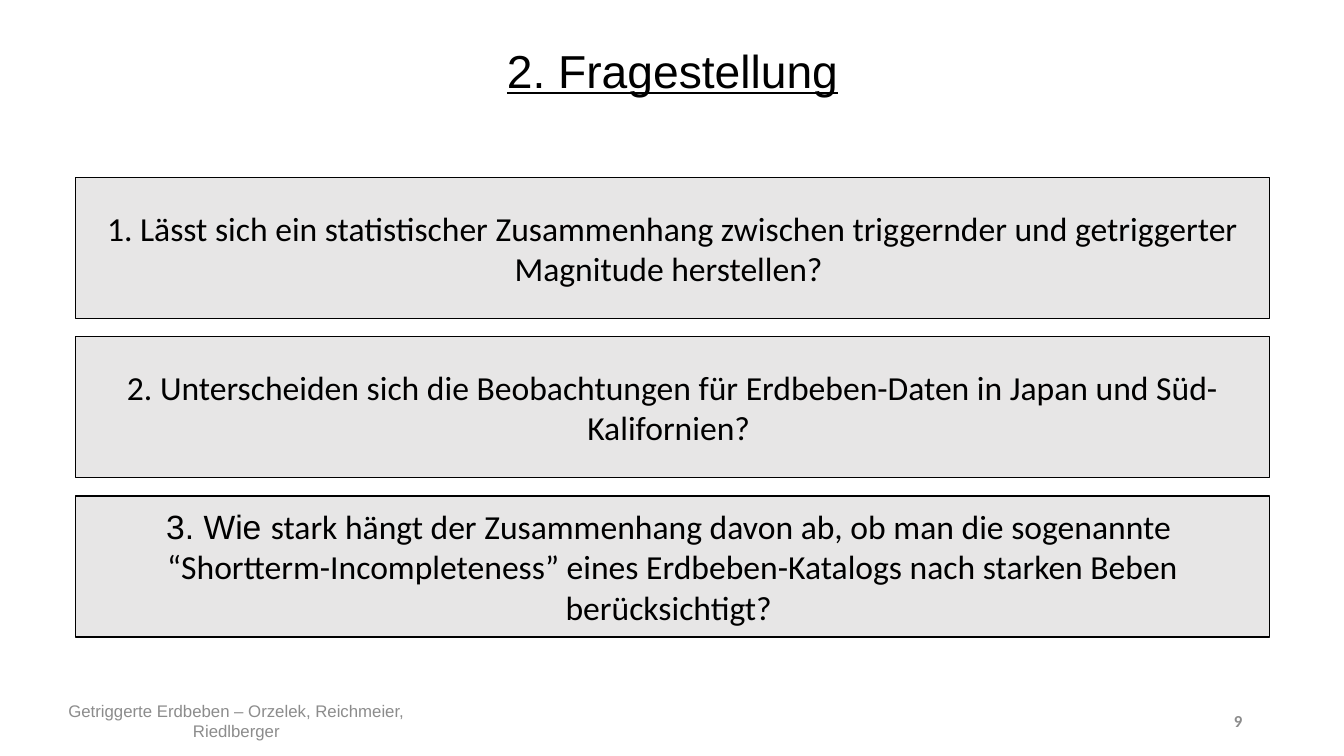
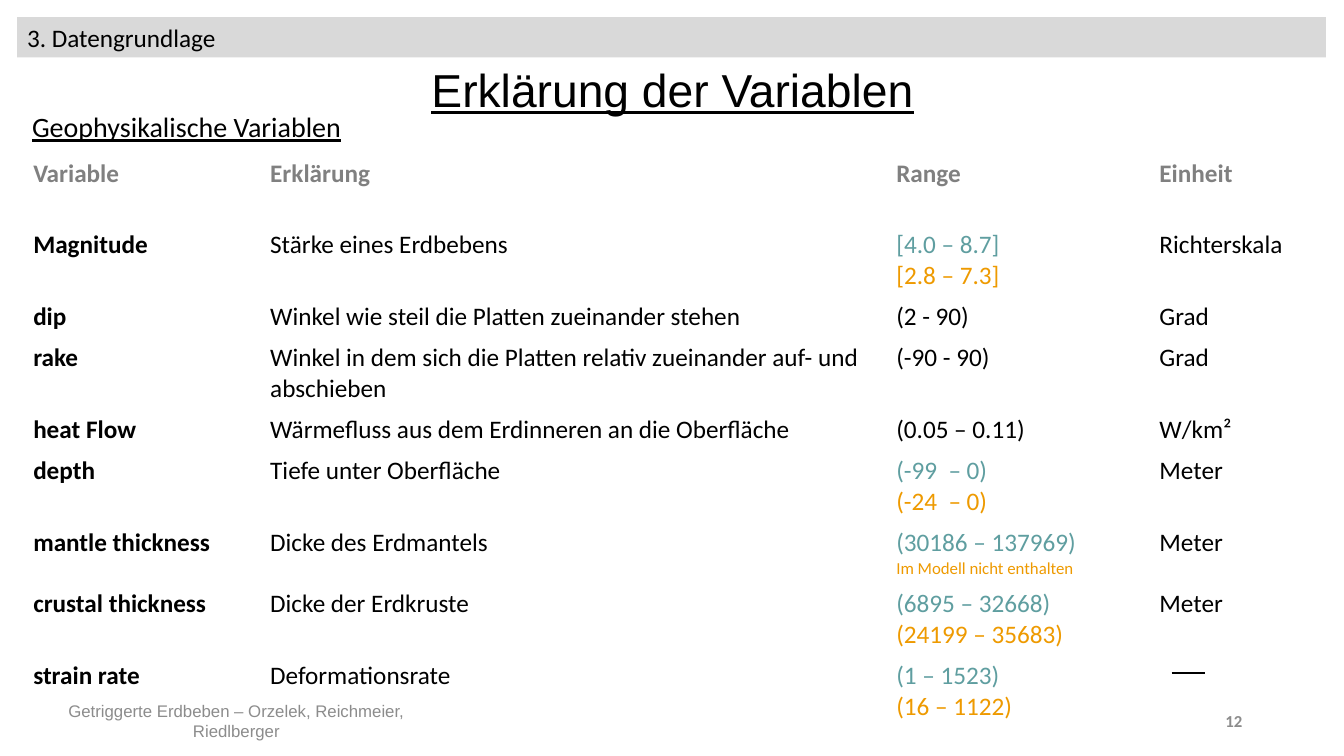
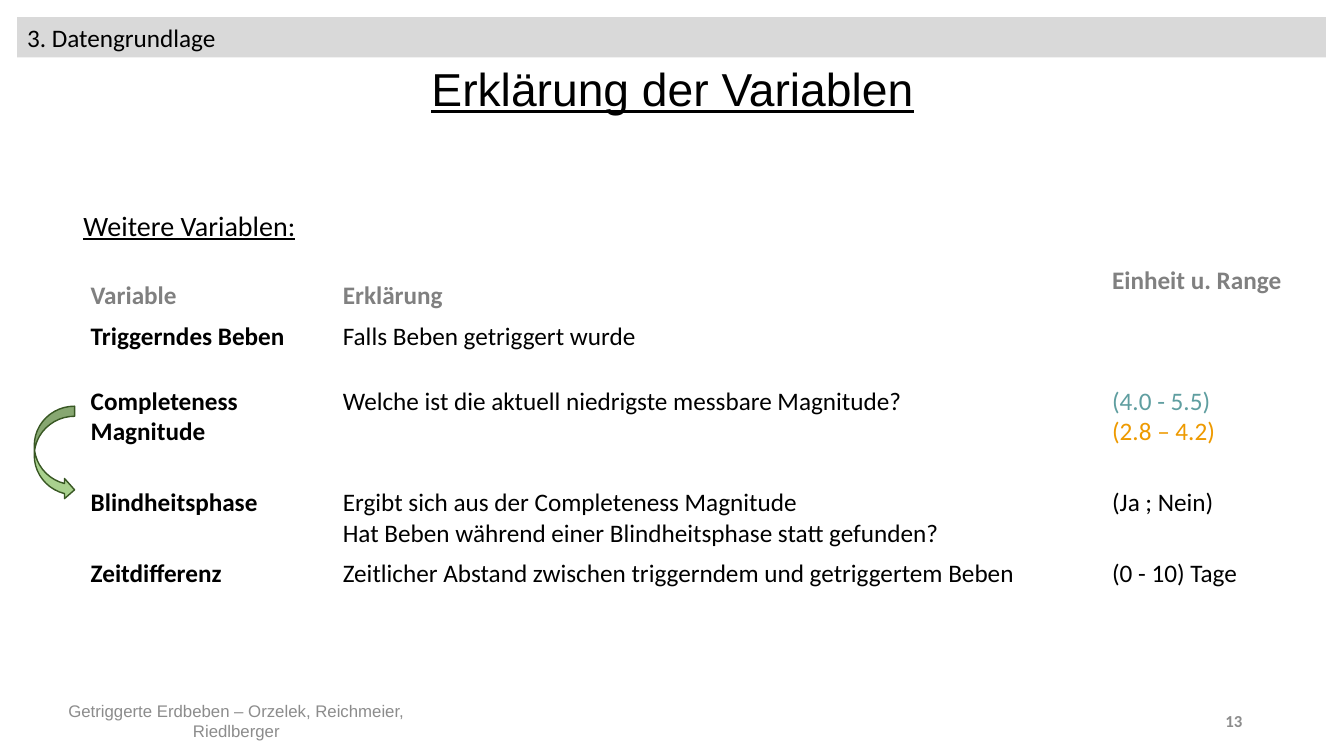
from dataclasses import dataclass, replace
from typing import Optional

from lxml.etree import SubElement
from pptx import Presentation
from pptx.dml.color import RGBColor
from pptx.enum.shapes import MSO_CONNECTOR, MSO_SHAPE
from pptx.enum.text import MSO_ANCHOR, MSO_AUTO_SIZE, PP_ALIGN
from pptx.oxml.ns import qn
from pptx.shapes.autoshape import Shape
from pptx.slide import Slide
from pptx.table import Table
from pptx.text.text import TextFrame, _Paragraph
from pptx.util import Inches, Pt

BLACK, WHITE = "000000", "FFFFFF"
HEADER_GRAY, FOOTER_GRAY = "808080", "8C8C8C"
BAND_GRAY, BOX_GRAY = "D9D9D9", "E7E6E6"
JAPAN, CALIFORNIA = "5F9EA0", "EE9A00"
ARROW_FILL, ARROW_LINE = "A9D18E", "385723"

FOOTER = "Getriggerte Erdbeben – Orzelek, Reichmeier, Riedlberger"
RANGE_COLUMN = 2


@dataclass(frozen=True)
class TextStyle:
    size: float = 18
    color: str = BLACK
    font: str = "Calibri"
    bold: bool = False
    underline: bool = False
    alignment: PP_ALIGN = PP_ALIGN.LEFT
    line_spacing: float = 1.0


@dataclass(frozen=True)
class Box:
    left: float
    top: float
    width: float
    height: float

    def lengths(self) -> tuple:
        return tuple(Inches(n) for n in (self.left, self.top, self.width, self.height))


@dataclass(frozen=True)
class TableData:
    left: float
    top: float
    column_widths: tuple[float, ...]
    row_heights: tuple[float, ...]
    rows: tuple[tuple[str, ...], ...]


BODY = TextStyle()
LABEL = TextStyle(bold=True)
TABLE_HEADER = TextStyle(color=HEADER_GRAY, bold=True)
TITLE = TextStyle(33, font="Arial", underline=True, alignment=PP_ALIGN.CENTER, line_spacing=0.9)
SUBHEADING = TextStyle(20, underline=True, line_spacing=1.5)
QUESTION = TextStyle(24, alignment=PP_ALIGN.CENTER)
FOOTER_TEXT = TextStyle(12, FOOTER_GRAY, "Arial", alignment=PP_ALIGN.CENTER)
PAGE_NUMBER = TextStyle(12, FOOTER_GRAY, bold=True, alignment=PP_ALIGN.RIGHT)

QUESTIONS = (
    "1. Lässt sich ein statistischer Zusammenhang zwischen triggernder und getriggerter "
    "Magnitude herstellen? ",
    "2. Unterscheiden sich die Beobachtungen für Erdbeben-Daten in Japan und Süd-Kalifornien? ",
    "3. Wie stark hängt der Zusammenhang davon ab, ob man die sogenannte \n"
    "“Shortterm-Incompleteness” eines Erdbeben-Katalogs nach starken Beben berücksichtigt? ",
)
ARIAL_START = "3. Wie "

GEOPHYSICAL_VARIABLES = TableData(
    0.23, 1.52,
    (2.35, 6.21, 2.61, 1.76),
    (0.71, 0.71, 0.41, 0.71, 0.41, 0.71, 0.61, 0.71, 0.71),
    (
        ("Variable", "Erklärung", "Range", "Einheit"),
        ("Magnitude", "Stärke eines Erdbebens", "[4.0 – 8.7]\n[2.8 – 7.3]", "Richterskala"),
        ("dip", "Winkel wie steil die Platten zueinander stehen", "(2 - 90)", "Grad"),
        ("rake", "Winkel in dem sich die Platten relativ zueinander auf- und abschieben",
         "(-90 - 90)", "Grad"),
        ("heat Flow", "Wärmefluss aus dem Erdinneren an die Oberfläche", "(0.05 – 0.11)", "W/km²"),
        ("depth", "Tiefe unter Oberfläche", "(-99  – 0)\n(-24  – 0)", "Meter"),
        ("mantle thickness", "Dicke des Erdmantels",
         "(30186 – 137969)\nIm Modell nicht enthalten", "Meter"),
        ("crustal thickness", "Dicke der Erdkruste", "(6895 – 32668)\n(24199 – 35683)", "Meter"),
        ("strain rate", "Deformationsrate", "(1 – 1523)\n(16 – 1122)", ""),
    ),
)
MANTLE_ROW = 6

FURTHER_VARIABLES = TableData(
    0.8, 2.58,
    (2.5, 7.63, 2.22),
    (0.56, 0.64, 1.01, 0.7, 0.41),
    (
        ("Variable", "Erklärung", "Einheit u. Range"),
        ("Triggerndes Beben", "Falls Beben getriggert wurde", ""),
        ("Completeness Magnitude", "Welche ist die aktuell niedrigste messbare Magnitude?",
         "(4.0 - 5.5)\n(2.8 – 4.2)"),
        ("Blindheitsphase", "Ergibt sich aus der Completeness Magnitude\n"
         "Hat Beben während einer Blindheitsphase statt gefunden?", "(Ja ; Nein)"),
        ("Zeitdifferenz", "Zeitlicher Abstand zwischen triggerndem und getriggertem Beben",
         "(0 - 10) Tage"),
    ),
)


def rgb(color: str) -> RGBColor:
    return RGBColor.from_string(color)


def format_paragraph(paragraph: _Paragraph, style: TextStyle) -> None:
    paragraph.alignment = style.alignment
    paragraph.line_spacing = style.line_spacing
    for run in paragraph.runs:
        run.font.size = Pt(style.size)
        run.font.name = style.font
        run.font.bold = style.bold
        run.font.underline = style.underline
        run.font.color.rgb = rgb(style.color)


def write(text_frame: TextFrame, text: str, style: TextStyle) -> None:
    text_frame.text = text
    for paragraph in text_frame.paragraphs:
        format_paragraph(paragraph, style)


def add_text(slide: Slide, box: Box, text: str, style: TextStyle,
             anchor: MSO_ANCHOR = MSO_ANCHOR.TOP) -> None:
    text_frame = slide.shapes.add_textbox(*box.lengths()).text_frame
    text_frame.word_wrap = True
    text_frame.vertical_anchor = anchor
    write(text_frame, text, style)


def add_filled_shape(slide: Slide, kind: MSO_SHAPE, box: Box, fill: str,
                     line: Optional[str] = None) -> Shape:
    shape = slide.shapes.add_shape(kind, *box.lengths())
    shape.shadow.inherit = False
    shape.fill.solid()
    shape.fill.fore_color.rgb = rgb(fill)
    if line:
        shape.line.color.rgb = rgb(line)
        shape.line.width = Pt(1)
    else:
        shape.line.fill.background()
    return shape


def add_titled_slide(presentation: Presentation, title: str, top: float) -> Slide:
    slide = presentation.slides.add_slide(presentation.slide_layouts[5])
    shape = slide.shapes.title
    shape.left, shape.top, shape.width, shape.height = Box(0.92, top, 11.5, 1.45).lengths()
    shape.text_frame.auto_size = MSO_AUTO_SIZE.NONE
    shape.text_frame.vertical_anchor = MSO_ANCHOR.MIDDLE
    write(shape.text_frame, title, TITLE)
    return slide


def add_section_band(slide: Slide) -> None:
    band = add_filled_shape(slide, MSO_SHAPE.RECTANGLE, Box(0.17, 0.17, 12.98, 0.4), BAND_GRAY)
    band.text_frame.vertical_anchor = MSO_ANCHOR.TOP
    write(band.text_frame, "3. Datengrundlage", BODY)
    # The title overlaps the band, so it has to lie in front.
    band.element.addnext(slide.shapes.title.element)


def add_footer(slide: Slide, number: int) -> None:
    add_text(slide, Box(0.13, 6.95, 4.43, 0.4), FOOTER, FOOTER_TEXT, MSO_ANCHOR.MIDDLE)
    add_text(slide, Box(9.42, 6.95, 3, 0.4), str(number), PAGE_NUMBER, MSO_ANCHOR.MIDDLE)


def cell_style(row: int, column: int) -> TextStyle:
    if row == 0:
        return TABLE_HEADER
    return LABEL if column == 0 else BODY


def add_variable_table(slide: Slide, data: TableData) -> Table:
    """Two-line ranges show Japan above California, each in its colour."""
    box = Box(data.left, data.top, sum(data.column_widths), sum(data.row_heights))
    table = slide.shapes.add_table(
        len(data.rows), len(data.column_widths), *box.lengths()).table
    for column, width in zip(table.columns, data.column_widths):
        column.width = Inches(width)
    for row, height in zip(table.rows, data.row_heights):
        row.height = Inches(height)
    for row_index, texts in enumerate(data.rows):
        for column_index, text in enumerate(texts):
            cell = table.cell(row_index, column_index)
            cell.fill.solid()
            cell.fill.fore_color.rgb = rgb(WHITE)
            write(cell.text_frame, text, cell_style(row_index, column_index))
            if column_index == RANGE_COLUMN and "\n" in text:
                for paragraph, color in zip(cell.text_frame.paragraphs, (JAPAN, CALIFORNIA)):
                    format_paragraph(paragraph, replace(BODY, color=color))
    return table


def add_dash(slide: Slide, left: float, right: float, top: float) -> None:
    dash = slide.shapes.add_connector(
        MSO_CONNECTOR.STRAIGHT, Inches(left), Inches(top), Inches(right), Inches(top))
    dash.line.color.rgb = rgb(BLACK)
    dash.line.width = Pt(1.5)
    SubElement(dash.element.spPr, qn("a:effectLst"))


def build_questions(presentation: Presentation) -> None:
    slide = add_titled_slide(presentation, "2. Fragestellung", 0)
    for index, question in enumerate(QUESTIONS):
        box = Box(0.75, 1.76 + index * 1.58, 11.84, 1.4)
        shape = add_filled_shape(slide, MSO_SHAPE.RECTANGLE, box, BOX_GRAY, BLACK)
        text_frame = shape.text_frame
        text_frame.vertical_anchor = MSO_ANCHOR.MIDDLE
        text_frame.text = question
        first = text_frame.paragraphs[0]
        starts_in_arial = question.startswith(ARIAL_START)
        if starts_in_arial:
            rest = first.text.removeprefix(ARIAL_START)
            first.text = ARIAL_START
            first.add_run().text = rest
        for paragraph in text_frame.paragraphs:
            format_paragraph(paragraph, QUESTION)
        if starts_in_arial:
            first.runs[0].font.name = "Arial"
    add_footer(slide, 9)


def build_geophysical_variables(presentation: Presentation) -> None:
    slide = add_titled_slide(presentation, "Erklärung der Variablen", 0.19)
    add_section_band(slide)
    table = add_variable_table(slide, GEOPHYSICAL_VARIABLES)
    note = table.cell(MANTLE_ROW, RANGE_COLUMN).text_frame.paragraphs[1]
    format_paragraph(note, TextStyle(12, CALIFORNIA))
    add_text(slide, Box(0.22, 0.87, 9.07, 0.6), "Geophysikalische Variablen", SUBHEADING)
    add_dash(slide, 11.62, 11.95, 6.68)
    add_footer(slide, 12)


def build_further_variables(presentation: Presentation) -> None:
    slide = add_titled_slide(presentation, "Erklärung der Variablen", 0.18)
    add_section_band(slide)
    add_text(slide, Box(0.73, 1.85, 10.73, 0.55), "Weitere Variablen:", SUBHEADING)
    table = add_variable_table(slide, FURTHER_VARIABLES)
    for column in range(RANGE_COLUMN):
        table.cell(0, column).text_frame.paragraphs[0].line_spacing = 1.5
    add_filled_shape(slide, MSO_SHAPE.CURVED_RIGHT_ARROW, Box(0.34, 4.03, 0.4, 0.93),
                     ARROW_FILL, ARROW_LINE)
    add_footer(slide, 13)


def main() -> None:
    presentation = Presentation()
    presentation.slide_width = Inches(13.33)
    presentation.slide_height = Inches(7.5)
    build_questions(presentation)
    build_geophysical_variables(presentation)
    build_further_variables(presentation)
    presentation.save("out.pptx")


if __name__ == "__main__":
    main()
